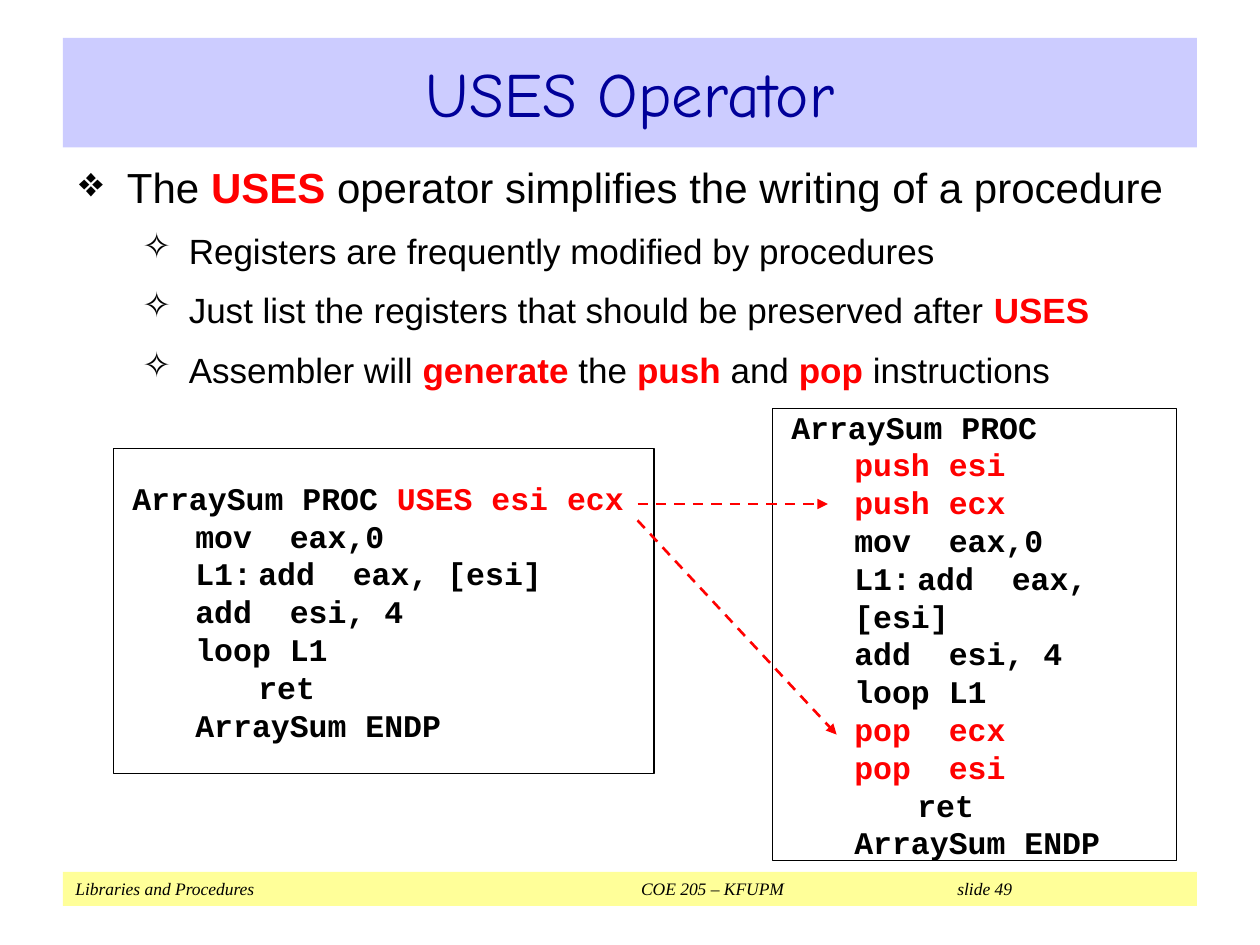
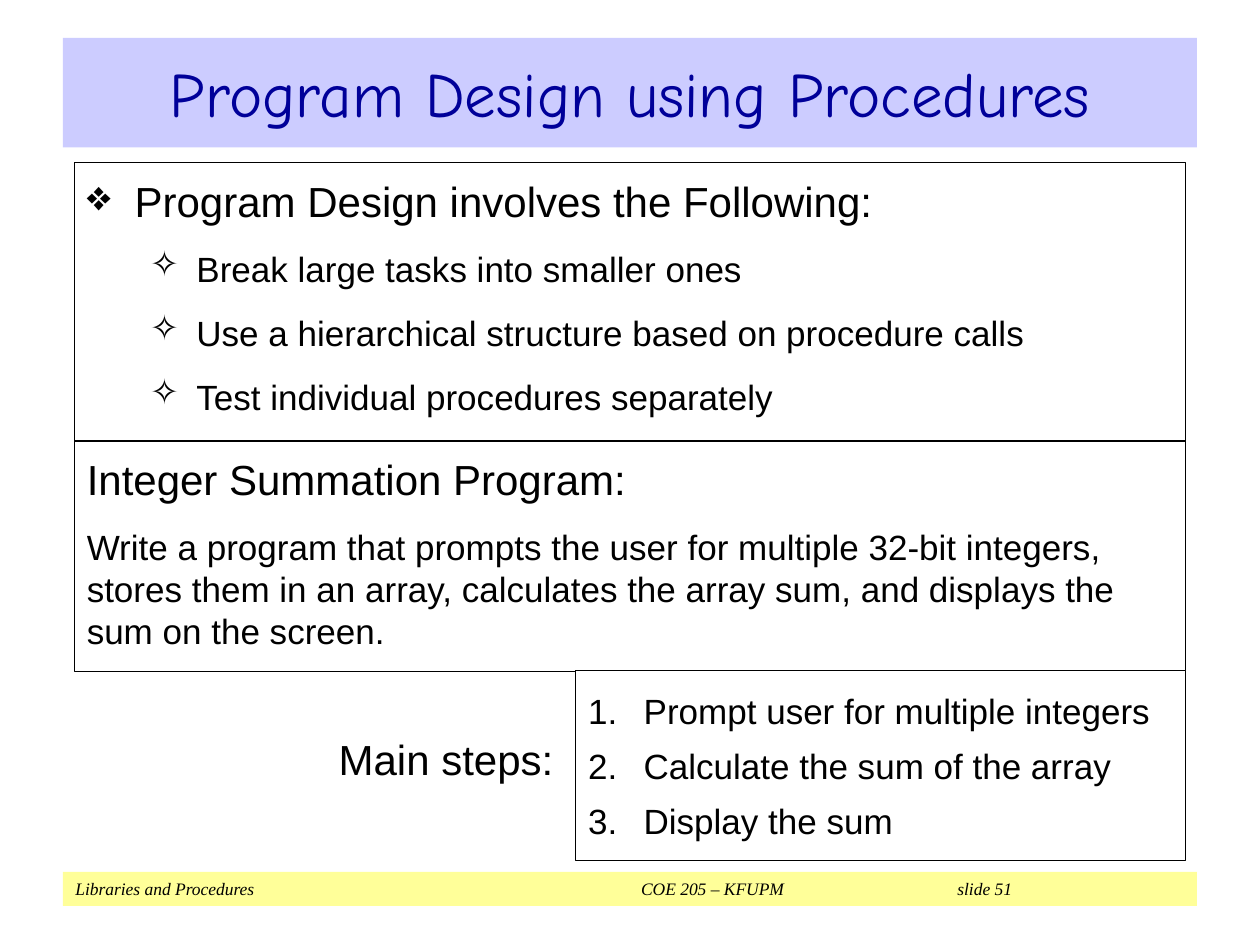
from dataclasses import dataclass

from lxml.etree import SubElement
from pptx import Presentation
from pptx.dml.color import RGBColor
from pptx.enum.dml import MSO_LINE
from pptx.enum.shapes import MSO_CONNECTOR, MSO_SHAPE as SHAPE
from pptx.enum.text import MSO_ANCHOR as ANCHOR, PP_ALIGN as ALIGN
from pptx.oxml.ns import qn
from pptx.util import Inches, Pt

# Shared colours and fonts
BLACK = RGBColor(0x00, 0x00, 0x00)
WHITE = RGBColor(0xFF, 0xFF, 0xFF)
RED = RGBColor(0xFF, 0x00, 0x00)
NAVY = RGBColor(0x00, 0x00, 0x99)
LAVENDER = RGBColor(0xCC, 0xCC, 0xFF)
YELLOW = RGBColor(0xFF, 0xFF, 0x99)
SANS, MONO, SERIF, COMIC = "Arial", "Courier New", "Times New Roman", "Comic Neue"

LINE_HEIGHT = 1.2  # times the text size


@dataclass(frozen=True)
class Box:
    left: float
    top: float
    width: float
    height: float
    fill: RGBColor | None = None
    outlined: bool = False
    anchor: ANCHOR = ANCHOR.TOP
    insets: tuple[float, float, float, float] = (0.1, 0.05, 0.1, 0.05)
    wrap: bool = True


@dataclass(frozen=True)
class Bullet:
    mark: str  # a character, or "1." for automatic numbers
    margin: float
    hang: float
    size: int
    level: int = 0


@dataclass(frozen=True)
class Arrow:
    x1: float
    y1: float
    x2: float
    y2: float


TITLE_BAND = Box(0.5, 0.3, 9, 0.87, fill=LAVENDER, anchor=ANCHOR.MIDDLE)
FOOTER_BAND = Box(0.5, 6.92, 9, 0.27, fill=YELLOW)
FOOTER_TABS = (4.49, 7.0)
TOPIC = Bullet("❖", 0.38, 0.38, 24)
POINT = Bullet("✧", 0.87, 0.37, 20, level=1)
STEP = Bullet("1.", 0.44, 0.44, 20)
CODE_INDENT = 0.5


def add_box(slide, box: Box):
    """Draw a box and return its empty text frame."""
    sp = slide.shapes.add_shape(SHAPE.RECTANGLE, Inches(box.left), Inches(box.top),
                                Inches(box.width), Inches(box.height))
    sp.shadow.inherit = False
    if box.fill is None:
        sp.fill.background()
    else:
        sp.fill.solid()
        sp.fill.fore_color.rgb = box.fill
    if box.outlined:
        sp.line.color.rgb = BLACK
        sp.line.width = Pt(0.75)
    else:
        sp.line.fill.background()
    tf = sp.text_frame
    tf.word_wrap = box.wrap
    tf.vertical_anchor = box.anchor
    tf.margin_left, tf.margin_top, tf.margin_right, tf.margin_bottom = map(Inches, box.insets)
    return tf


def add_text(tf, text: str, *, size: float = 20, font: str = SANS, color: RGBColor = BLACK,
             bold: bool = False, italic: bool = False, align: ALIGN = ALIGN.LEFT,
             before: float = 0, margin: float = 0, bullet: Bullet | None = None,
             tabs: tuple[float, ...] = (), fixed_height: bool = True) -> None:
    """Add a paragraph; parts between asterisks are red and bold."""
    p = tf.paragraphs[0]
    if p.runs:
        p = tf.add_paragraph()
    p.alignment = align
    p.space_before = Pt(before)
    if fixed_height:
        p.line_spacing = Pt(size * LINE_HEIGHT)
    pPr = p._p.get_or_add_pPr()
    if bullet:
        p.level = bullet.level
        margin = bullet.margin
        pPr.set("indent", str(-Inches(bullet.hang)))
        if bullet.mark == "1.":
            SubElement(pPr, qn("a:buAutoNum"), type="arabicPeriod")
        else:
            SubElement(pPr, qn("a:buChar"), char=bullet.mark)
    pPr.set("marL", str(Inches(margin)))
    if tabs:
        tab_list = SubElement(pPr, qn("a:tabLst"))
        for pos in tabs:
            SubElement(tab_list, qn("a:tab"), pos=str(Inches(pos)), algn="l")
    for i, part in enumerate(text.split("*")):
        if not part:
            continue
        marked = i % 2 == 1
        r = p.add_run()
        r.text = part
        f = r.font
        f.name, f.size = font, Pt(size)
        f.bold, f.italic = bold or marked, italic
        f.color.rgb = RED if marked else color


def add_list(tf, items: list[str], bullet: Bullet, before: float) -> None:
    for item in items:
        add_text(tf, item, size=bullet.size, bullet=bullet, before=before)


def add_outline(slide, box: Box, topic: str, points: list[str],
                gaps: tuple[float, float]) -> None:
    """Add a topic with its points; gaps are the spaces before each kind."""
    tf = add_box(slide, box)
    add_list(tf, [topic], TOPIC, gaps[0])
    add_list(tf, points, POINT, gaps[1])


def add_code(slide, box: Box, lines: list[str]) -> None:
    """Add a listing whose lines after the first are indented."""
    tf = add_box(slide, box)
    for i, line in enumerate(lines):
        add_text(tf, line, size=18, font=MONO, bold=True,
                 margin=CODE_INDENT if i else 0, tabs=(CODE_INDENT, 2 * CODE_INDENT))


def add_arrow(slide, arrow: Arrow) -> None:
    cx = slide.shapes.add_connector(MSO_CONNECTOR.STRAIGHT, Inches(arrow.x1), Inches(arrow.y1),
                                    Inches(arrow.x2), Inches(arrow.y2))
    cx.line.color.rgb = RED
    cx.line.width = Pt(1.5)
    cx.line.dash_style = MSO_LINE.DASH
    SubElement(cx.line._get_or_add_ln(), qn("a:tailEnd"), type="triangle")
    SubElement(cx._element.spPr, qn("a:effectLst"))


def add_slide(prs, title: str, number: int):
    """Add a blank slide with the shared footer and title bands."""
    slide = prs.slides.add_slide(prs.slide_layouts[6])
    add_text(add_box(slide, FOOTER_BAND),
             f"Libraries and Procedures\tCOE 205 – KFUPM\tslide {number}",
             size=10, font=SERIF, italic=True, tabs=FOOTER_TABS, fixed_height=False)
    add_text(add_box(slide, TITLE_BAND), title, size=36, font=COMIC, color=NAVY,
             align=ALIGN.CENTER, fixed_height=False)
    return slide


def build_uses_slide(prs) -> None:
    slide = add_slide(prs, "USES Operator", 49)
    add_outline(slide, Box(0.53, 1.23, 8.94, 2.08),
                "The *USES* operator simplifies the writing of a procedure",
                ["Registers are frequently modified by procedures",
                 "Just list the registers that should be preserved after *USES*",
                 "Assembler will *generate* the *push* and *pop* instructions"],
                gaps=(12, 10))

    # Procedure as written, and as the assembler expands it
    code_style = dict(outlined=True, anchor=ANCHOR.MIDDLE, insets=(0.15, 0, 0.15, 0))
    body = ["mov  eax,0", "L1:\tadd  eax, [esi]", "add  esi, 4", "loop L1"]
    ending = ["\tret", "ArraySum ENDP"]
    add_code(slide, Box(0.9, 3.56, 4.29, 2.58, **code_style),
             ["ArraySum PROC *USES esi ecx*", *body, *ending])
    add_code(slide, Box(6.13, 3.24, 3.21, 3.59, **code_style),
             ["ArraySum PROC", "*push esi*", "*push ecx*", *body,
              "*pop  ecx*", "*pop  esi*", *ending])

    # Arrows from USES to the generated instructions
    for arrow in (Arrow(5.06, 4, 6.57, 4), Arrow(5.06, 4.13, 6.64, 5.83)):
        add_arrow(slide, arrow)


def build_design_slide(prs) -> None:
    slide = add_slide(prs, "Program Design using Procedures", 51)
    panel_insets = (0.1, 0.1, 0.1, 0)
    add_outline(slide, Box(0.59, 1.29, 8.82, 2.21, outlined=True, insets=panel_insets),
                "Program Design involves the Following:",
                ["Break large tasks into smaller ones",
                 "Use a hierarchical structure based on procedure calls",
                 "Test individual procedures separately"],
                gaps=(15, 12.5))

    # Task statement
    tf = add_box(slide, Box(0.59, 3.5, 8.82, 1.83, outlined=True, insets=panel_insets))
    add_text(tf, "Integer Summation Program:", size=24, before=15)
    add_text(tf, "Write a program that prompts the user for multiple 32-bit integers, "
                 "stores them in an array, calculates the array sum, and displays the "
                 "sum on the screen.", before=12.5)

    # Main steps
    add_text(add_box(slide, Box(2.59, 5.77, 1.9, 0.5, wrap=False)), "Main steps:",
             size=24, align=ALIGN.CENTER)
    tf = add_box(slide, Box(4.57, 5.32, 4.84, 1.51, fill=WHITE, outlined=True,
                            insets=(0.1, 0.15, 0.1, 0.15)))
    add_list(tf, ["Prompt user for multiple integers", "Calculate the sum of the array",
                  "Display the sum"], STEP, 7.5)


def main() -> None:
    prs = Presentation()
    prs.slide_width, prs.slide_height = Inches(10), Inches(7.5)
    build_uses_slide(prs)
    build_design_slide(prs)
    prs.save("out.pptx")


if __name__ == "__main__":
    main()
